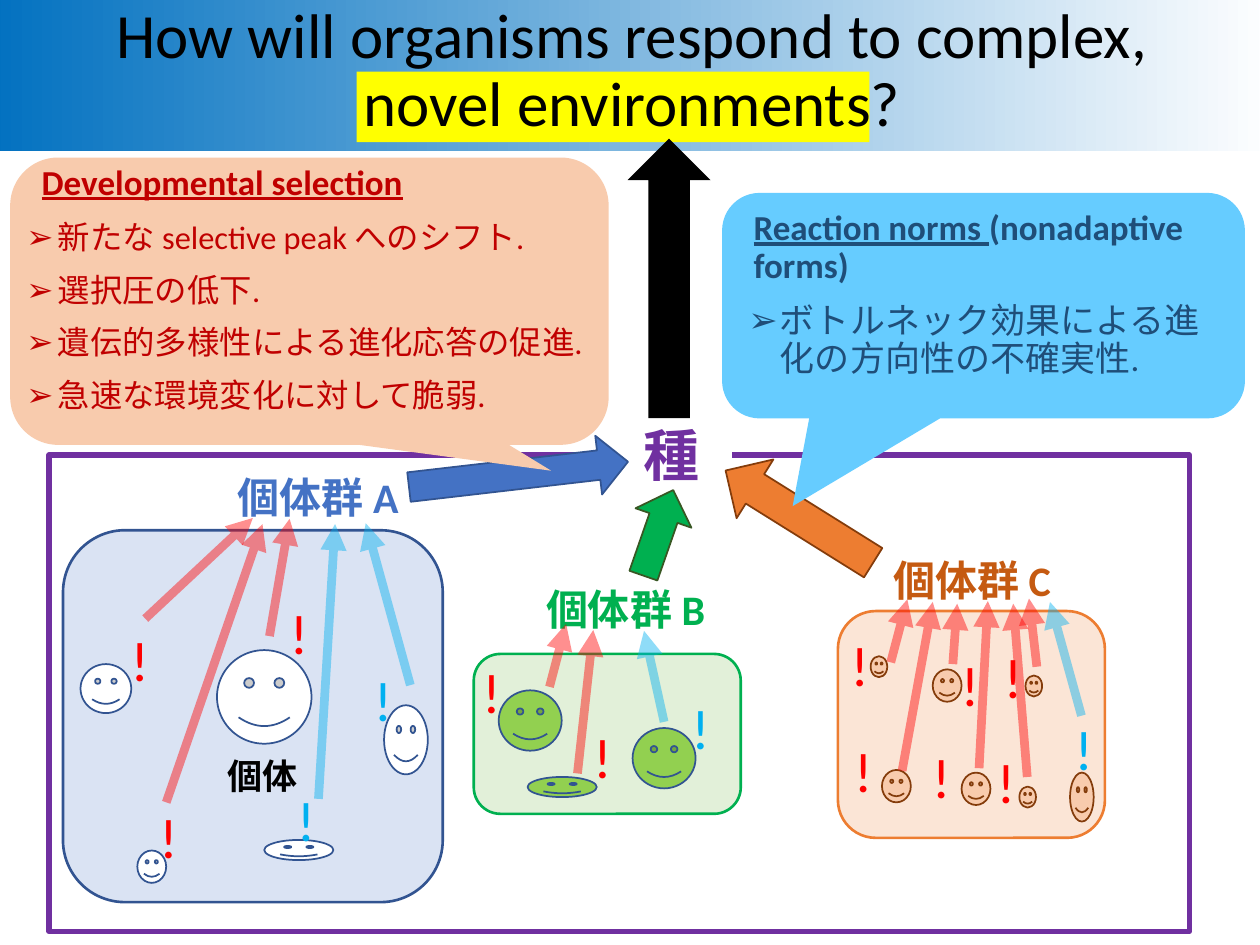
from dataclasses import dataclass
from typing import NamedTuple, Optional

from lxml.etree import SubElement
from pptx import Presentation
from pptx.dml.color import RGBColor
from pptx.enum.shapes import MSO_CONNECTOR as Connector, MSO_SHAPE as Shape
from pptx.enum.text import MSO_ANCHOR as Anchor, MSO_AUTO_SIZE as AutoSize, PP_ALIGN as Align
from pptx.oxml.ns import qn
from pptx.util import Pt

BLACK = RGBColor(0x00, 0x00, 0x00)
WHITE = RGBColor(0xFF, 0xFF, 0xFF)
RED = RGBColor(0xFF, 0x00, 0x00)
SKY = RGBColor(0x00, 0xB0, 0xF0)
YELLOW = RGBColor(0xFF, 0xFF, 0x00)
BANNER_BLUE = RGBColor(0x00, 0x70, 0xC0)
PURPLE = RGBColor(0x70, 0x30, 0xA0)
BLUE = RGBColor(0x44, 0x72, 0xC4)
DARK_BLUE = RGBColor(0x32, 0x54, 0x91)
PALE_BLUE = RGBColor(0xDA, 0xE3, 0xF3)
GREEN = RGBColor(0x00, 0xB0, 0x50)
DARK_GREEN = RGBColor(0x38, 0x57, 0x23)
PALE_GREEN = RGBColor(0xE2, 0xF0, 0xD9)
LIME = RGBColor(0x92, 0xD0, 0x50)
ORANGE = RGBColor(0xED, 0x7D, 0x31)
RUST = RGBColor(0xC5, 0x5A, 0x11)
BROWN = RGBColor(0x84, 0x3C, 0x0B)
PALE_ORANGE = RGBColor(0xFB, 0xE5, 0xD6)
PEACH = RGBColor(0xF8, 0xCB, 0xAD)
CRIMSON = RGBColor(0xC0, 0x00, 0x00)
CALLOUT_BLUE = RGBColor(0x66, 0xCC, 0xFF)
NAVY = RGBColor(0x1F, 0x4E, 0x79)


class Box(NamedTuple):
    left: float
    top: float
    width: float
    height: float


class Style(NamedTuple):
    fill: Optional[RGBColor] = None
    line: Optional[RGBColor] = None
    weight: float = 1


class Font(NamedTuple):
    size: float
    color: RGBColor
    bold: bool = False
    underline: bool = False


@dataclass
class Population:
    label: str
    label_color: RGBColor
    label_corner: tuple
    habitat: Box
    habitat_style: Style
    face_style: Style
    faces: list
    marks: dict
    responses: dict


@dataclass
class Callout:
    box: Box
    fill: RGBColor
    adjustments: tuple
    heading_box: Box
    heading: list
    points_box: Box
    points: list
    points_font: Font


POPULATIONS = [
    Population(
        "個体群 A", BLUE, (126.7, 265.7), Box(36, 303, 217, 212.5),
        Style(PALE_BLUE, DARK_BLUE, 1.5), Style(WHITE, DARK_BLUE),
        [Box(46, 379.5, 29, 28), Box(219.5, 403, 25, 39.5), Box(151, 480, 39.5, 11.5),
         Box(78.5, 486, 16.5, 18.5), Box(124, 371.5, 54, 53.5)],
        {RED: [(158.5, 338.5), (84, 455), (67.5, 354)], SKY: [(206.5, 376.5), (162.5, 445.5)]},
        {RED: [(154, 363.5, 165.5, 296.5), (83, 353.5, 144.5, 296), (95, 458.5, 150, 299.5)],
         SKY: [(234.5, 391.5, 209, 299), (182, 456.5, 191.5, 299.5)]}),
    Population(
        "個体群 B", GREEN, (302.4, 329.8), Box(270.7, 373.7, 152.6, 91.4),
        Style(PALE_GREEN, GREEN, 1.5), Style(LIME, DARK_BLUE),
        [Box(285, 394.5, 36, 34.5), Box(301.5, 444, 39.5, 11.5), Box(361.5, 416, 36, 34.5)],
        {RED: [(268.5, 372), (332, 409.5)], SKY: [(388, 393)]},
        {RED: [(314, 392.5, 323.5, 356.5), (330, 442, 339, 360)],
         SKY: [(379.5, 412.5, 368, 360.5)]}),
    Population(
        "個体群 C", RUST, (500.4, 313.2), Box(478.8, 349.2, 152.6, 129.6),
        Style(PALE_ORANGE, ORANGE, 1.5), Style(PEACH, BROWN),
        [Box(549.5, 441.5, 16.5, 18.5), Box(611.5, 441.5, 13.5, 28), Box(504, 440, 16.5, 18.5),
         Box(533, 382.5, 16.5, 18.5), Box(497.5, 375, 9.5, 12), Box(582.5, 449.5, 9.5, 12),
         Box(586, 386, 9.5, 12)],
        {RED: [(479, 356.5), (481, 417.5), (525.5, 420.5), (542, 368), (562.5, 423.5),
               (566.5, 363.5)],
         SKY: [(607, 404.5)]},
        {RED: [(509, 378.5, 518.5, 342.5), (515.5, 440.5, 533, 344), (544.5, 379.5, 547, 345),
               (559.5, 439, 564.5, 343.5), (587, 444, 579, 345), (592.5, 381, 588, 342)],
         SKY: [(618, 409, 600, 344)]}),
]

CALLOUTS = [
    Callout(Box(5.8, 90, 342, 164.2), PEACH, (0.404, 0.59, 0.167),
            Box(16.6, 90.7, 297.4, 43.9),
            [("Developmental selection", Font(20, CRIMSON, True, True))],
            Box(7.9, 123.1, 342, 127.4),
            ["新たな selective peak へのシフト.", "選択圧の低下.",
             "遺伝的多様性による進化応答の促進.", "急速な環境変化に対して脆弱."],
            Font(18.5, CRIMSON)),
    Callout(Box(412.6, 110.2, 298.8, 128.9), CALLOUT_BLUE, (-0.365, 0.889, 0.167),
            Box(423.4, 116.6, 285.8, 61.2),
            [("Reaction norms ", Font(20, NAVY, True, True)),
             ("(nonadaptive forms)", Font(20, NAVY, True))],
            Box(420.5, 169.9, 285.8, 100),
            ["ボトルネック効果による進化の方向性の不確実性."], Font(20, NAVY)),
]

LINEAGE_ARROWS = [
    (Box(279.4, 208.1, 33.8, 126), Style(BLUE, DARK_BLUE), 83.4),
    (Box(359.3, 278.6, 33.8, 51.8), Style(GREEN, DARK_GREEN), 19.2),
    (Box(358.6, 79.2, 47.5, 159.8), Style(BLACK), 0),
    (Box(437, 245.5, 39.6, 99.4), Style(ORANGE, BROWN), 302),
]


def add_figure(slide, kind, box: Box, style: Style, rotation: float = 0):
    figure = slide.shapes.add_shape(kind, *map(Pt, box))
    figure.shadow.inherit = False
    figure.rotation = rotation
    if style.fill is None:
        figure.fill.background()
    else:
        figure.fill.solid()
        figure.fill.fore_color.rgb = style.fill
    if style.line is None:
        figure.line.fill.background()
    else:
        figure.line.color.rgb = style.line
        figure.line.width = Pt(style.weight)
    return figure


def add_run(paragraph, words: str, font: Font) -> None:
    run = paragraph.add_run()
    run.text = words
    run.font.name = "Calibri"
    run.font.size = Pt(font.size)
    run.font.color.rgb = font.color
    run.font.bold = font.bold
    run.font.underline = font.underline


def add_label(slide, box: Box, words: str, font: Font, align=Align.LEFT, fill=None) -> None:
    label = slide.shapes.add_textbox(*map(Pt, box))
    if fill is not None:
        label.fill.solid()
        label.fill.fore_color.rgb = fill
    frame = label.text_frame
    frame.word_wrap = True
    frame.auto_size = AutoSize.SHAPE_TO_FIT_TEXT
    frame.paragraphs[0].alignment = align
    add_run(frame.paragraphs[0], words, font)


def add_response(slide, ends: tuple, color: RGBColor) -> None:
    response = slide.shapes.add_connector(Connector.STRAIGHT, *map(Pt, ends))
    response.line.color.rgb = color
    response.line.width = Pt(5)
    line = response.line._get_or_add_ln()
    SubElement(line.find(".//" + qn("a:srgbClr")), qn("a:alpha"), val="44000")
    SubElement(line, qn("a:tailEnd"), type="triangle")
    SubElement(response._element.spPr, qn("a:effectLst"))


def fill_placeholder(slide, index: int, box: Box, paragraphs: list, anchor=Anchor.TOP,
                     align=Align.LEFT, before: float = 10, bullet: str = "") -> None:
    holder = slide.placeholders[index]
    holder.left, holder.top, holder.width, holder.height = map(Pt, box)
    slide.shapes._spTree.append(holder._element)
    frame = holder.text_frame
    frame.word_wrap = True
    frame.auto_size = AutoSize.NONE
    frame.vertical_anchor = anchor
    for number, runs in enumerate(paragraphs):
        paragraph = frame.add_paragraph() if number else frame.paragraphs[0]
        paragraph.alignment = align
        paragraph.line_spacing = 0.9
        paragraph.space_before = Pt(before)
        if bullet:
            properties = paragraph._p.get_or_add_pPr()
            properties.set("marL", str(Pt(18)))
            properties.set("indent", str(Pt(-18)))
            SubElement(properties, qn("a:buChar"), char=bullet)
        for words, font in runs:
            add_run(paragraph, words, font)


def draw_habitat(slide, population: Population) -> None:
    add_figure(slide, Shape.ROUNDED_RECTANGLE, population.habitat, population.habitat_style)
    for face in population.faces:
        add_figure(slide, Shape.SMILEY_FACE, face, population.face_style)


def draw_responses(slide, population: Population) -> None:
    add_label(slide, Box(*population.label_corner, 110.16, 36), population.label,
              Font(24, population.label_color, True), Align.CENTER)
    for color, corners in population.marks.items():
        for corner in corners:
            add_label(slide, Box(*corner, 34, 46), "!", Font(32, color))
    for color, responses in population.responses.items():
        for ends in responses:
            add_response(slide, ends, color)


def draw_title(slide) -> None:
    banner = add_figure(slide, Shape.RECTANGLE, Box(-10.8, -5.8, 741.6, 92.2), Style(WHITE))
    banner.fill.gradient()
    banner.fill.gradient_angle = 0
    for stop, position, color in zip(banner.fill.gradient_stops, (0, 1), (BANNER_BLUE, WHITE)):
        stop.position = position
        stop.color.rgb = color
    add_figure(slide, Shape.RECTANGLE, Box(203.8, 41, 293, 40.3), Style(YELLOW))
    question = "How will organisms respond to complex, novel environments?"
    fill_placeholder(slide, 0, Box(20.9, -5, 680.4, 92.2), [[(question, Font(36, BLACK))]],
                     Anchor.MIDDLE, Align.CENTER, 0)


def main() -> None:
    deck = Presentation()
    deck.slide_width, deck.slide_height = Pt(720), Pt(540)
    slide = deck.slides.add_slide(deck.slide_layouts.get_by_name("Comparison"))
    for population in POPULATIONS:
        draw_habitat(slide, population)
    add_figure(slide, Shape.RECTANGLE, Box(28, 260, 651.6, 272.2), Style(None, PURPLE, 3))
    add_label(slide, Box(349.2, 236.9, 69.1, 46), "種", Font(32, PURPLE, True),
              Align.CENTER, WHITE)
    add_label(slide, Box(123.1, 427.7, 62.6, 31.7), "個体", Font(20, BLACK, True))
    draw_title(slide)
    for box, style, rotation in LINEAGE_ARROWS:
        add_figure(slide, Shape.UP_ARROW, box, style, rotation)
    for population in POPULATIONS:
        draw_responses(slide, population)
    for index, callout in zip((1, 3), CALLOUTS):
        bubble = add_figure(slide, Shape.ROUNDED_RECTANGULAR_CALLOUT, callout.box,
                            Style(callout.fill))
        for number, value in enumerate(callout.adjustments):
            bubble.adjustments[number] = value
        fill_placeholder(slide, index, callout.heading_box, [callout.heading])
        fill_placeholder(slide, index + 1, callout.points_box,
                         [[(point, callout.points_font)] for point in callout.points],
                         bullet="➢")
    deck.save("out.pptx")


if __name__ == "__main__":
    main()
